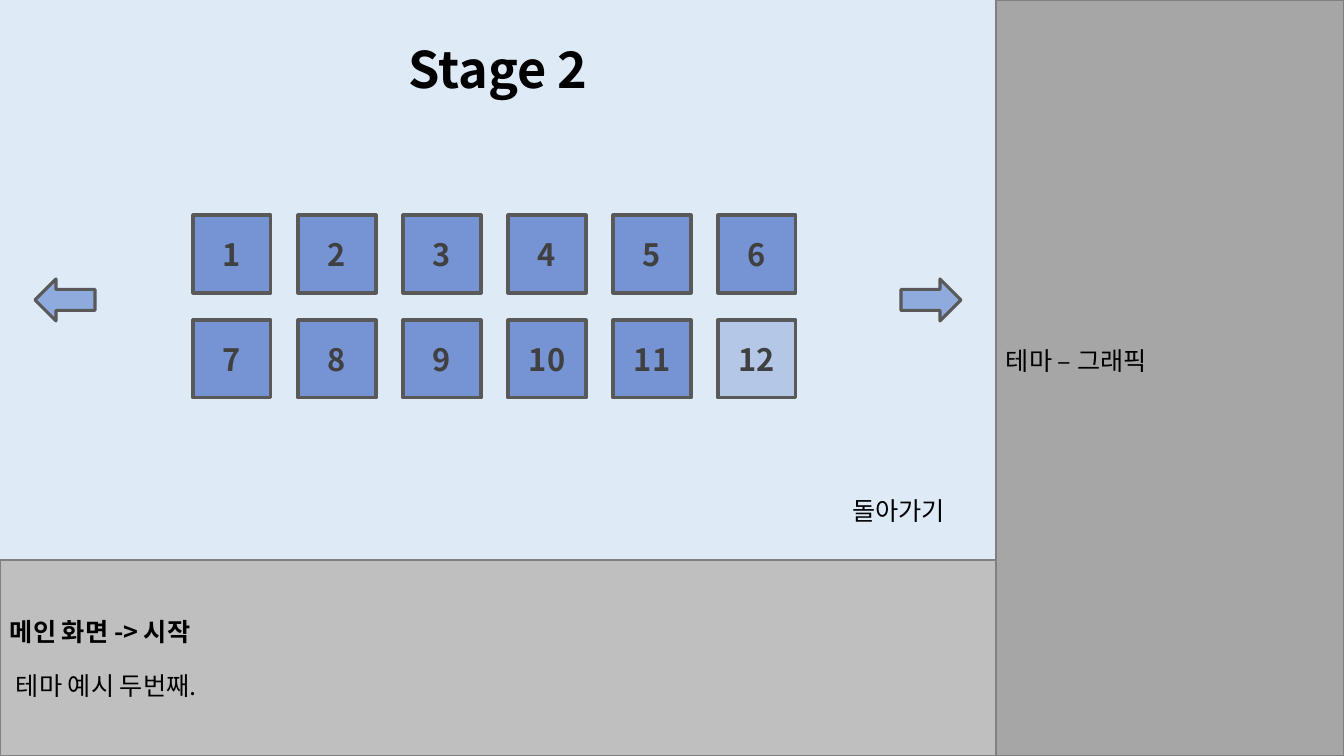
from dataclasses import dataclass

from lxml import etree
from pptx import Presentation
from pptx import util as u
from pptx.dml.color import RGBColor
from pptx.enum import shapes, text
from pptx.oxml import ns

SCALE = 914400 / 100.8


@dataclass(frozen=True)
class Theme:
    font: str = "Noto Sans CJK KR"
    ink: str = "000000"
    number: str = "404040"
    screen: str = "DEEBF7"
    side: str = "A6A6A6"
    notes: str = "BFBFBF"
    panel_line: str = "808080"
    tile: str = "7693D4"
    tile_light: str = "B4C7E7"
    arrow: str = "8FAADC"
    outline: str = "595959"
    title_size: int = 36
    number_size: int = 22
    body_size: int = 18


T = Theme()


def px(n):
    return u.Emu(round(n * SCALE))


def rgb(value):
    return RGBColor.from_string(value)


def add_shape(s, kind, box, fill, line=None, width=1):
    sp = s.shapes.add_shape(kind, *map(px, box))
    sp.shadow.inherit = False
    sp.fill.solid()
    sp.fill.fore_color.rgb = rgb(fill)
    if line:
        sp.line.color.rgb = rgb(line)
        sp.line.width = u.Pt(width)
    else:
        sp.line.fill.background()
    return sp


def add_rect(s, box, fill, line=None, width=1):
    return add_shape(s, shapes.MSO_SHAPE.RECTANGLE, box, fill, line, width)


def write(sp, words, size, align="LEFT", color=T.ink, bold=False, anchor="MIDDLE"):
    tf = sp.text_frame
    tf.text = words
    tf.vertical_anchor = getattr(text.MSO_ANCHOR, anchor)
    for p in tf.paragraphs:
        p.alignment = getattr(text.PP_ALIGN, align)
        for r in p.runs:
            r.font.name = T.font
            r.font.size = u.Pt(size)
            r.font.bold = bold
            r.font.color.rgb = rgb(color)
            ea = etree.SubElement(r.font._element, ns.qn("a:ea"))
            ea.set("typeface", T.font)
    return tf


def stage_title(s, box):
    sp = s.shapes.title
    sp.left, sp.top, sp.width, sp.height = map(px, box)
    write(sp, "Stage 2", T.title_size, "CENTER", bold=True, anchor="TOP")
    sp.element.getparent().append(sp.element)


def stage_grid(s, left, top, size=78, pitch=105, columns=6, count=12):
    for i in range(count):
        row, col = divmod(i, columns)
        box = (left + col * pitch, top + row * pitch, size, size)
        fill = T.tile_light if i == count - 1 else T.tile
        sp = add_rect(s, box, fill, T.outline, 2.25)
        write(sp, str(i + 1), T.number_size, "CENTER", T.number, True)


def page_arrows(s, left, top, width, inset=35, w=60, h=42):
    kinds = shapes.MSO_SHAPE
    places = ((kinds.LEFT_ARROW, left + inset),
              (kinds.RIGHT_ARROW, left + width - inset - w))
    for kind, x in places:
        add_shape(s, kind, (x, top, w, h), T.arrow, T.outline, 2.25)


def back_label(s, box):
    sp = s.shapes.add_textbox(*map(px, box))
    write(sp, "돌아가기", T.body_size, "RIGHT", anchor="TOP").word_wrap = False


def game_screen(s, x, y, w, h):
    add_rect(s, (x, y, w, h), T.screen)
    stage_title(s, (x + 347, y + 33, 302, 72))
    stage_grid(s, x + 193, y + 215)
    page_arrows(s, x, y + 279, w)
    back_label(s, (x + 833, y + 490, 122, 40))


def side_panel(s, *box):
    sp = add_rect(s, box, T.side, T.panel_line)
    write(sp, "테마 – 그래픽", T.body_size).margin_bottom = px(40)


def notes_panel(s, *box):
    sp = add_rect(s, box, T.notes, T.panel_line)
    tf = write(sp, "메인 화면 -> 시작\n테마 예시 두번째.", T.body_size)
    heading, detail = tf.paragraphs
    heading.runs[0].font.bold = True
    detail.space_before = u.Pt(17)
    detail._p.get_or_add_pPr().set("marL", str(px(6)))


prs = Presentation()
prs.slide_width, prs.slide_height = px(1344), px(756)
s = prs.slides.add_slide(prs.slide_layouts[5])
game_screen(s, 0, 0, 996, 560)
side_panel(s, 996, 0, 348, 756)
notes_panel(s, 0, 560, 996, 196)
prs.save("out.pptx")
